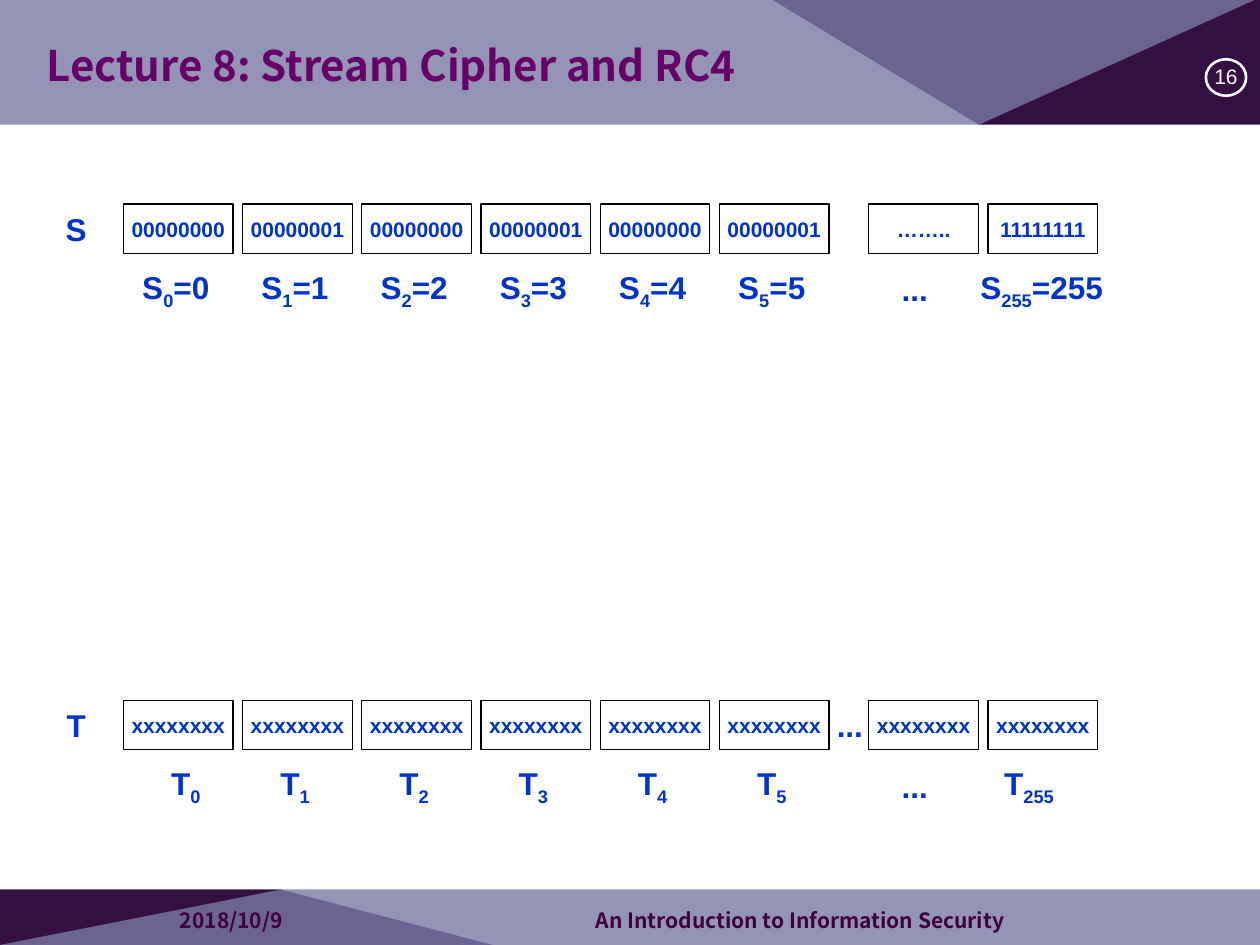
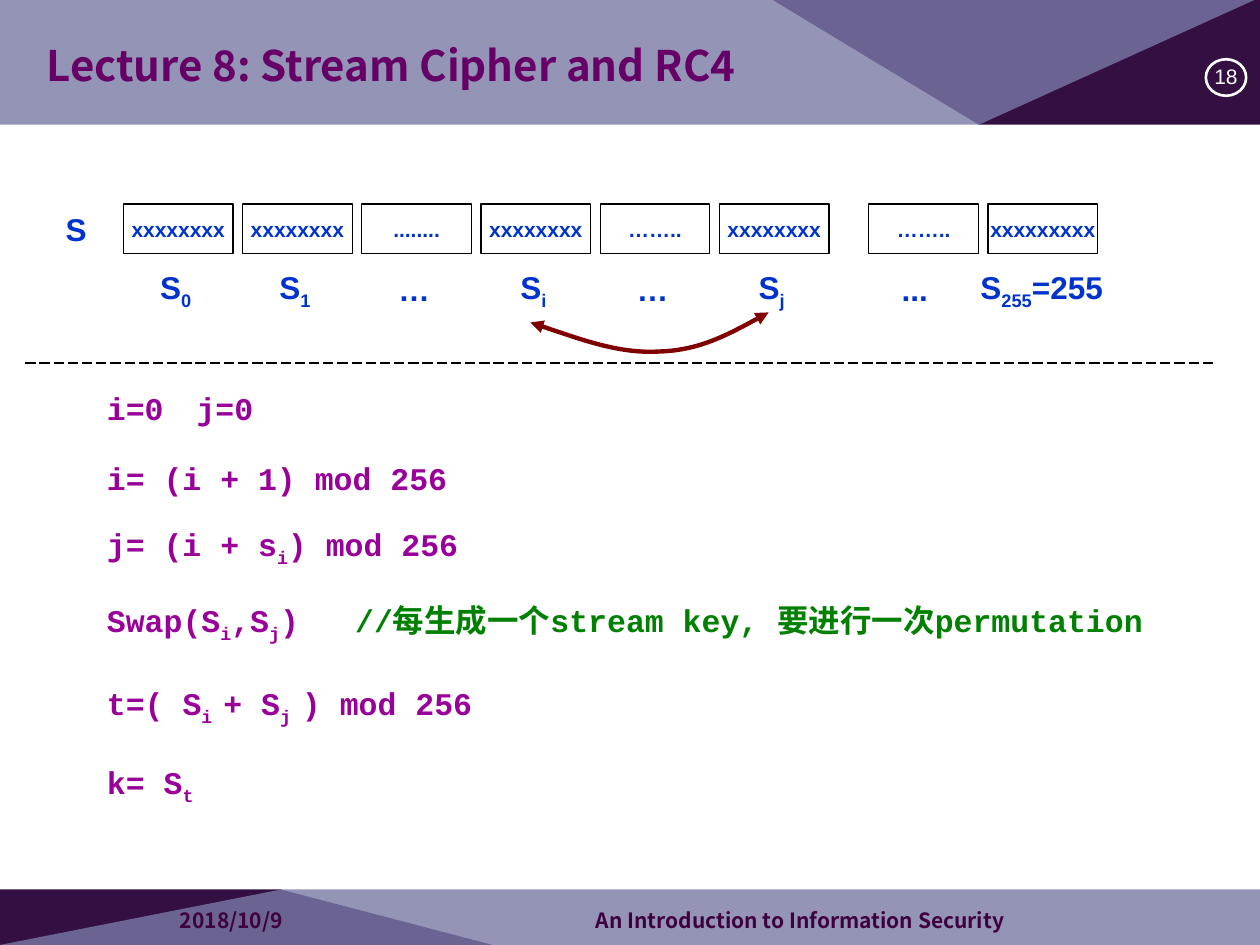
from lxml import etree
from pptx import Presentation
from pptx.dml.color import RGBColor
from pptx.enum.dml import MSO_LINE
from pptx.enum.shapes import MSO_CONNECTOR, MSO_SHAPE
from pptx.enum.text import MSO_ANCHOR, MSO_AUTO_SIZE, PP_ALIGN
from pptx.oxml.ns import qn
from pptx.util import Inches, Pt

RECTANGLE, ELLIPSE = MSO_SHAPE.RECTANGLE, MSO_SHAPE.OVAL
STRAIGHT, LONG_DASH = MSO_CONNECTOR.STRAIGHT, MSO_LINE.LONG_DASH
LEFT, CENTER, MIDDLE = PP_ALIGN.LEFT, PP_ALIGN.CENTER, MSO_ANCHOR.MIDDLE
NO_AUTOFIT = MSO_AUTO_SIZE.NONE

CJK_FONT = "Noto Sans CJK SC"
DARK, LILAC = "330F42", "7A7AA6"
BLACK, WHITE, MAROON, GREEN = "000000", "FFFFFF", "800000", "008000"

TITLE = {"size": Pt(24), "bold": True, "name": CJK_FONT, "color": "660066"}
FOOTER = {"size": Pt(12), "bold": True, "name": CJK_FONT, "color": "3E003E"}
NUMBER = {"size": Pt(12), "bold": False, "name": "Arial", "color": WHITE}
BYTE = {"size": Pt(12), "bold": True, "name": "Arial", "color": "0033CC"}
LABEL = {**BYTE, "size": Pt(18)}
CODE = {"size": Pt(18), "bold": True, "name": "Courier New", "color": "990099"}
COMMENT = {**CODE, "color": GREEN}

BANDS = [
    (DARK, 100, [(0, 7.5), (0, 7.06), (2.23, 7.06), (3.91, 7.5)]),
    (LILAC, 80, [(0, 7.5), (2.23, 7.06), (10, 7.06), (10, 7.5)]),
    (DARK, 100, [(10, -0.02), (10, 0.99), (7.77, 0.99), (6.1, -0.02)]),
    (LILAC, 80, [(10, -0.02), (7.77, 0.99), (0, 0.99), (0, -0.02)]),
]

CELL_WIDTH, CELL_HEIGHT, LABEL_WIDTH = 0.87, 0.39, 0.35
FIRST_CELL, CELL_PITCH = 0.98, 4.73 / 5
CELLS_BEFORE_GAP, CELL_GAP = 6, 0.24
S_TOP, T_TOP = 1.62, 5.56
S_SHIFTS = [0.24] * 6 + [0.19, 0.25]
T_SHIFTS = [0.32] + [0.24] * 5 + [0.19, 0.15]

INITIAL_S = ["00000000", "00000001"] * 3 + ["……..", "11111111"]
INITIAL_S_NAMES = [f"S|{n}|={n}" for n in range(6)] + ["...", "S|255|=255"]
KEY_T = ["xxxxxxxx"] * 8
KEY_T_NAMES = [f"T|{n}" for n in range(6)] + ["...", "T|255"]
MIXED_S = ["xxxxxxxx", "xxxxxxxx", "........", "xxxxxxxx",
           "……..", "xxxxxxxx", "……..", "xxxxxxxxx"]
MIXED_S_NAMES = ["S|0", "S|1", "…", "S|i", "…", "S|j", "...", "S|255|=255"]

STEPS = [
    (3.04, 0.63, 0.4, "i=0"),
    (3.59, 2.76, 0.4, "i= (i + 1) mod 256"),
    (4.14, 2.76, 0.4, "j= (i + s|i|) mod 256"),
    (4.72, 8.58, 0.44, "Swap(S|i|,S|j|)\t"),
    (5.4, 3.31, 0.4, "t=( S|i |+ S|j |) mod 256"),
    (6.03, 3.31, 0.4, "k= S|t"),
]
SWAP_STEP = 3
SWAP_COMMENT = "//每生成一个stream key, 要进行一次permutation"
COMMENT_TAB = 1.97
SWAP_CURVE = [(4.21, 2.56), (4.57, 2.68), (4.92, 2.81), (5.24, 2.79),
              (5.55, 2.78), (5.83, 2.63), (6.1, 2.48)]


def color(value):
    return RGBColor.from_string(value)


def set_values(target, values):
    for name, value in values.items():
        setattr(target, name, value)


def add_child(parent, tag, **values):
    return etree.SubElement(parent, qn(tag), values)


def add_spans(para, text, style):
    font_values = {name: style[name] for name in ("size", "bold", "name")}
    for position, part in enumerate(text.split("|")):
        span = para.add_run()
        span.text = part
        set_values(span.font, font_values)
        span.font.color.rgb = color(style["color"])
        properties = span.font._element
        add_child(properties, "a:ea", typeface=CJK_FONT)
        if position % 2:
            properties.set("baseline", "-25000")


def write(box, text, style, align=LEFT, wrap=False):
    frame = box.text_frame
    set_values(frame, {"word_wrap": wrap, "auto_size": NO_AUTOFIT,
                       "vertical_anchor": MIDDLE})
    para = frame.paragraphs[0]
    para.alignment = align
    add_spans(para, text, style)
    return para


def add_text(page, place, text, style, align=LEFT, wrap=False):
    box = page.shapes.add_textbox(*map(Inches, place))
    return write(box, text, style, align, wrap)


def add_outline(page, kind, place, line_color, width):
    shape = page.shapes.add_shape(kind, *map(Inches, place))
    shape.shadow.inherit = False
    shape.fill.background()
    shape.line.color.rgb = color(line_color)
    shape.line.width = Pt(width)
    return shape


def add_freeform(page, points, close):
    corners = [(Inches(x), Inches(y)) for x, y in points]
    builder = page.shapes.build_freeform(*corners[0])
    builder.add_line_segments(corners[1:], close=close)
    shape = builder.convert_to_shape()
    shape.shadow.inherit = False
    return shape


def add_band(page, fill, opacity, points):
    band = add_freeform(page, points, True)
    band.fill.solid()
    band.fill.fore_color.rgb = color(fill)
    band.line.fill.background()
    if opacity < 100:
        tone = band._element.spPr.find(f".//{qn('a:srgbClr')}")
        add_child(tone, "a:alpha", val=str(opacity * 1000))


def add_swap_arrow(page):
    arrow = add_freeform(page, SWAP_CURVE, False)
    arrow.fill.background()
    arrow.line.color.rgb = color(MAROON)
    arrow.line.width = Pt(2.5)
    outline = arrow._element.spPr.find(f".//{qn('a:path')}")
    segments = outline.findall(qn("a:lnTo"))
    for start in range(0, len(segments), 3):
        curve = add_child(outline, "a:cubicBezTo")
        for segment in segments[start:start + 3]:
            curve.append(segment[0])
            outline.remove(segment)
    line = arrow._element.spPr.find(qn("a:ln"))
    for end in ("a:headEnd", "a:tailEnd"):
        add_child(line, end, type="triangle")


def add_divider(page):
    line = page.shapes.add_connector(
        STRAIGHT, Inches(0.2), Inches(2.88), Inches(9.65), Inches(2.88))
    line.line.color.rgb = color(BLACK)
    line.line.width = Pt(0.75)
    line.line.dash_style = LONG_DASH
    add_child(line._element.spPr, "a:effectLst")


def add_label(page, left, top, text):
    add_text(page, (left, top, LABEL_WIDTH, CELL_HEIGHT), text, LABEL, CENTER)


def add_array(page, name, top, values, captions, shifts):
    add_label(page, 0.43, top, name)
    for index, (value, caption, shift) in enumerate(zip(values, captions, shifts)):
        left = FIRST_CELL + index * CELL_PITCH
        if index >= CELLS_BEFORE_GAP:
            left += CELL_GAP
        place = (left, top, CELL_WIDTH, CELL_HEIGHT)
        cell = add_outline(page, RECTANGLE, place, BLACK, 0.75)
        write(cell, value, BYTE, CENTER)
        add_label(page, left + shift, top + 0.48, caption)


def add_page(deck, number):
    page = deck.slides.add_slide(deck.slide_layouts[5])
    for band in BANDS:
        add_band(page, *band)
    badge = add_outline(page, ELLIPSE, (9.57, 0.47, 0.32, 0.29), WHITE, 1.5)
    margins = ("margin_left", "margin_top", "margin_right", "margin_bottom")
    set_values(badge.text_frame, dict.fromkeys(margins, Inches(0.01)))
    write(badge, str(number), NUMBER, CENTER, True).line_spacing = 0.9
    add_text(page, (1.33, 7.16, 2.33, 0.29), "2018/10/9", FOOTER, wrap=True)
    add_text(page, (4.63, 7.16, 4.78, 0.29),
             "An Introduction to Information Security", FOOTER, wrap=True)
    title = page.shapes.title
    set_values(title, {"left": Inches(0.27), "top": Inches(0.21),
                       "width": Inches(6.38), "height": Inches(0.6)})
    write(title, "Lecture 8: Stream Cipher and RC4", TITLE, wrap=True)
    page.shapes._spTree.append(title._element)
    return page


def add_steps(page):
    add_text(page, (1.61, 3, 0.35, 0.47), "j=0", CODE, CENTER)
    paras = [add_text(page, (0.75, top, width, height), text, CODE)
             for top, width, height, text in STEPS]
    swap = paras[SWAP_STEP]
    add_spans(swap, SWAP_COMMENT, COMMENT)
    tabs = add_child(swap._p.get_or_add_pPr(), "a:tabLst")
    add_child(tabs, "a:tab", pos=str(Inches(COMMENT_TAB)), algn="l")


def main():
    deck = Presentation()
    deck.slide_width, deck.slide_height = Inches(10), Inches(7.5)

    setup = add_page(deck, 16)
    add_array(setup, "S", S_TOP, INITIAL_S, INITIAL_S_NAMES, S_SHIFTS)
    add_array(setup, "T", T_TOP, KEY_T, KEY_T_NAMES, T_SHIFTS)
    add_label(setup, 6.57, T_TOP, "...")

    generation = add_page(deck, 18)
    add_array(generation, "S", S_TOP, MIXED_S, MIXED_S_NAMES, S_SHIFTS)
    add_steps(generation)
    add_divider(generation)
    add_swap_arrow(generation)

    deck.save("out.pptx")


if __name__ == "__main__":
    main()
